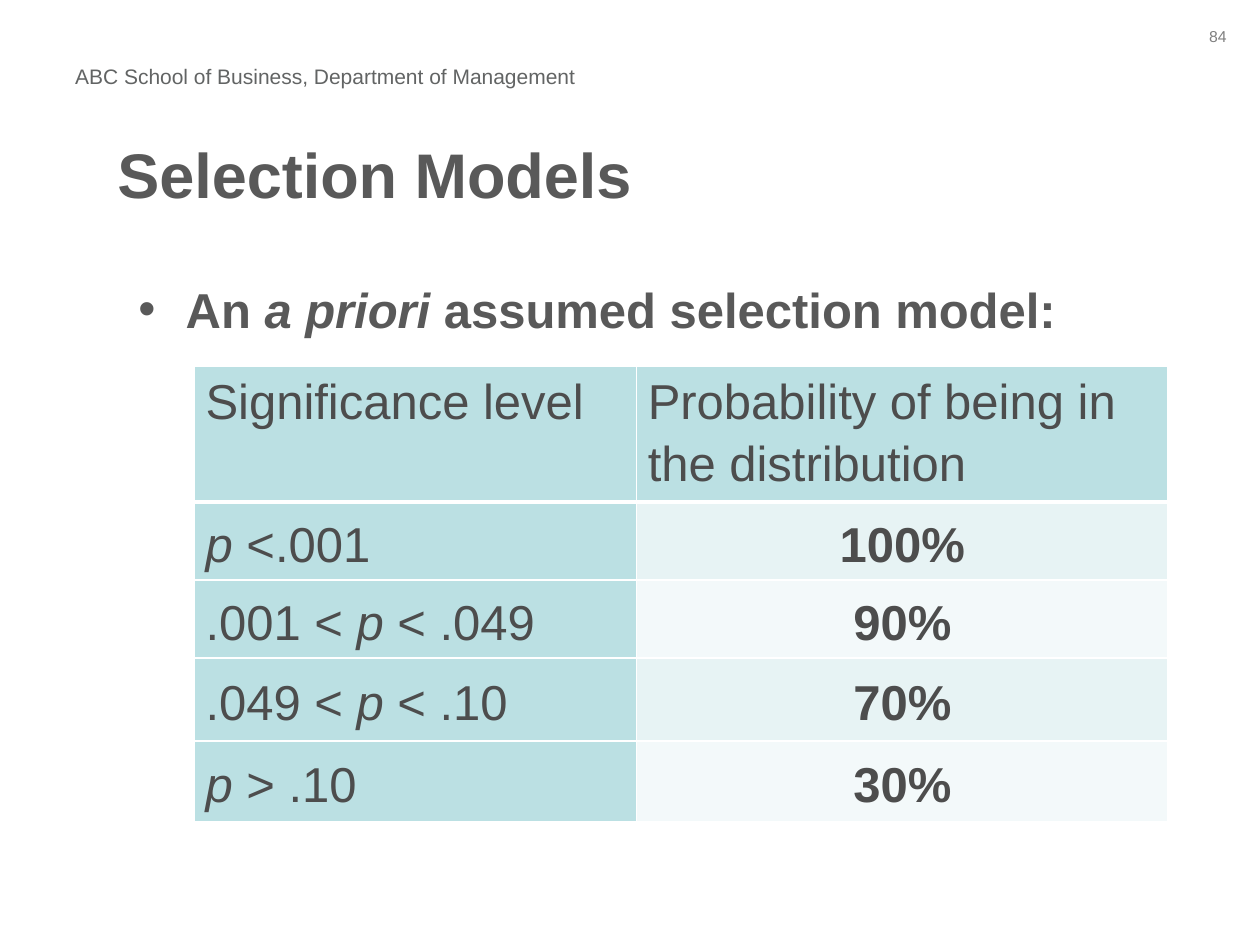
from lxml import etree
from pptx import Presentation
from pptx.dml.color import RGBColor
from pptx.enum.text import MSO_ANCHOR, PP_ALIGN
from pptx.oxml.ns import qn
from pptx.util import Pt

LEFT, CENTER, RIGHT = PP_ALIGN.LEFT, PP_ALIGN.CENTER, PP_ALIGN.RIGHT
TOP, MIDDLE = MSO_ANCHOR.TOP, MSO_ANCHOR.MIDDLE

FONT = "Arial"
HEADING, TABLE_TEXT = "595959", "4D4D4D"
LABEL_FILL, BAND_FILLS = "BBE0E3", ("E7F3F4", "F3F9FA")
BORDER = "FFFFFF"

TABLE_HEADER = ("Significance level", "Probability of being in the distribution")
SELECTION_MODEL = [
    ([("p", "i"), (" <.001", "")], "100%"),
    ([(".001 < ", ""), ("p", "i"), (" < .049", "")], "90%"),
    ([(".049 < ", ""), ("p", "i"), (" < .10", "")], "70%"),
    ([("p", "i"), (" > .10", "")], "30%"),
]
COLUMN_WIDTHS = (252.7, 303.8)
ROW_HEIGHTS = (72, 44.6, 44.6, 47.5, 46.1)


def color(hex_string):
    return RGBColor.from_string(hex_string)


class SlideBuilder:
    def __init__(self, slide):
        self.slide = slide

    def add_runs(self, paragraph, runs, size, text_color, align=LEFT):
        """Add (text, style) runs; a style holds "b" for bold and "i" for italic."""
        paragraph.alignment = align
        for text, style in runs:
            run = paragraph.add_run()
            run.text = text
            font = run.font
            font.name, font.size = FONT, Pt(size)
            font.bold, font.italic = "b" in style, "i" in style
            font.color.rgb = color(text_color)

    def text(self, box, runs, size, text_color, align=LEFT, anchor=TOP):
        shape = self.slide.shapes.add_textbox(*map(Pt, box))
        frame = shape.text_frame
        frame.word_wrap = True
        frame.vertical_anchor = anchor
        paragraph = frame.paragraphs[0]
        self.add_runs(paragraph, runs, size, text_color, align)
        return paragraph

    def bullet(self, box, runs, size, text_color, indent):
        paragraph = self.text(box, runs, size, text_color)
        paragraph.space_before = Pt(3)
        properties = paragraph._p.get_or_add_pPr()
        properties.set("marL", str(Pt(indent)))
        properties.set("indent", str(-Pt(indent)))
        etree.SubElement(properties, qn("a:buFont"), typeface=FONT)
        etree.SubElement(properties, qn("a:buChar"), char="•")

    def table(self, left, top, widths, heights):
        frame = self.slide.shapes.add_table(
            len(heights), len(widths), Pt(left), Pt(top), Pt(sum(widths)), Pt(sum(heights)))
        table = frame.table
        for column, width in zip(table.columns, widths):
            column.width = Pt(width)
        for row, height in zip(table.rows, heights):
            row.height = Pt(height)
        return table

    def cell(self, cell, runs, fill, align=LEFT, anchor=MIDDLE, bottom_border=1):
        cell.margin_left = cell.margin_right = Pt(6.5)
        cell.margin_top = cell.margin_bottom = 0
        cell.vertical_anchor = anchor
        paragraph = cell.text_frame.paragraphs[0]
        paragraph.line_spacing = 1.15
        self.add_runs(paragraph, runs, 28, TABLE_TEXT, align)
        properties = cell._tc.get_or_add_tcPr()
        for side, width in (("L", 1), ("R", 1), ("T", 1), ("B", bottom_border)):
            line = etree.SubElement(properties, qn(f"a:ln{side}"), w=str(Pt(width)))
            solid = etree.SubElement(line, qn("a:solidFill"))
            etree.SubElement(solid, qn("a:srgbClr"), val=BORDER)
        cell.fill.solid()
        cell.fill.fore_color.rgb = color(fill)


def main():
    presentation = Presentation()
    presentation.slide_width, presentation.slide_height = Pt(720), Pt(540)
    builder = SlideBuilder(presentation.slides.add_slide(presentation.slide_layouts[6]))

    builder.text((660, 12, 48, 18), [("84", "")], 9, "808080", RIGHT)
    builder.text((24, 33, 324, 21.6),
                 [("ABC School of Business, Department of Management", "")],
                 12, "626464", CENTER)
    builder.text((60, 54, 606, 90), [("Selection Models", "b")], 36, HEADING, anchor=MIDDLE)
    builder.bullet((72, 156, 594, 324),
                   [("An ", "b"), ("a priori ", "bi"), ("assumed selection model:", "b")],
                   28, HEADING, indent=27)

    table = builder.table(111, 209.5, COLUMN_WIDTHS, ROW_HEIGHTS)
    for column, title in enumerate(TABLE_HEADER):
        builder.cell(table.cell(0, column), [(title, "")], LABEL_FILL,
                     anchor=TOP, bottom_border=3)
    for index, (level, probability) in enumerate(SELECTION_MODEL):
        builder.cell(table.cell(index + 1, 0), level, LABEL_FILL)
        builder.cell(table.cell(index + 1, 1), [(probability, "b")],
                     BAND_FILLS[index % 2], CENTER)

    presentation.save("out.pptx")


if __name__ == "__main__":
    main()
